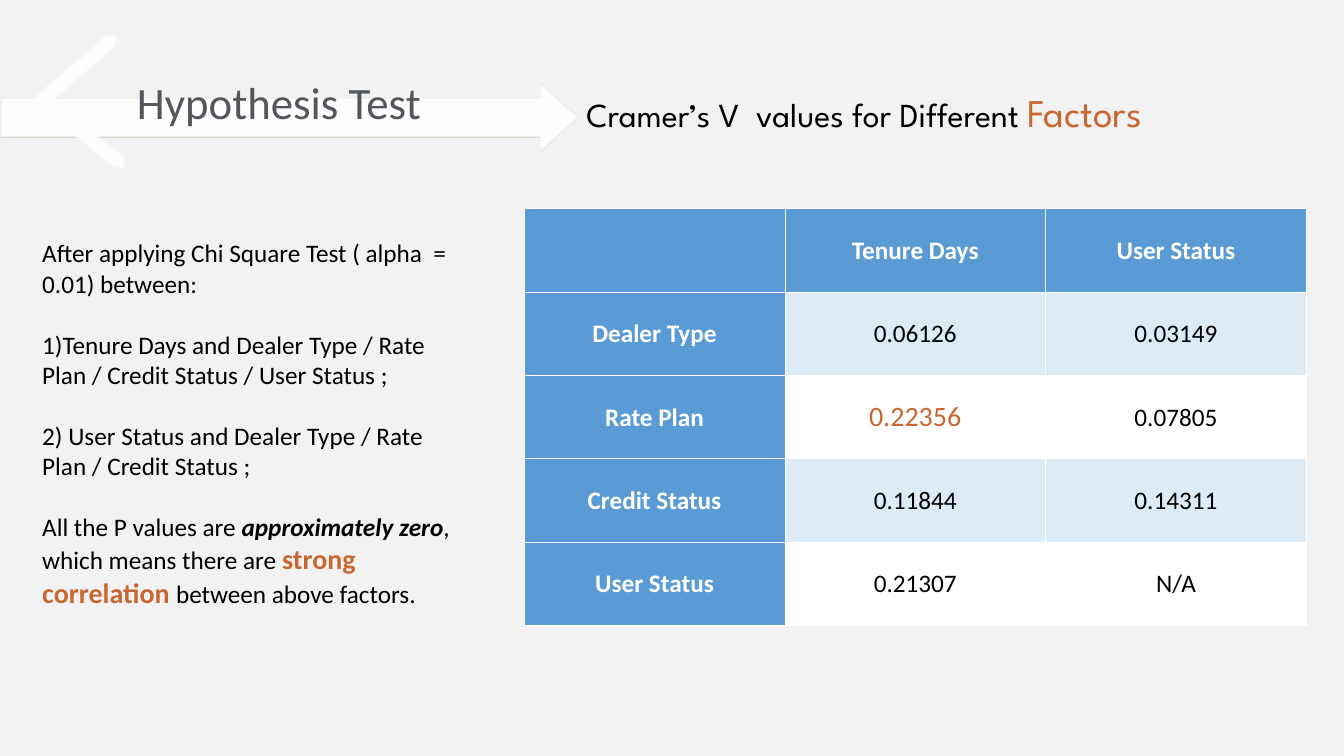
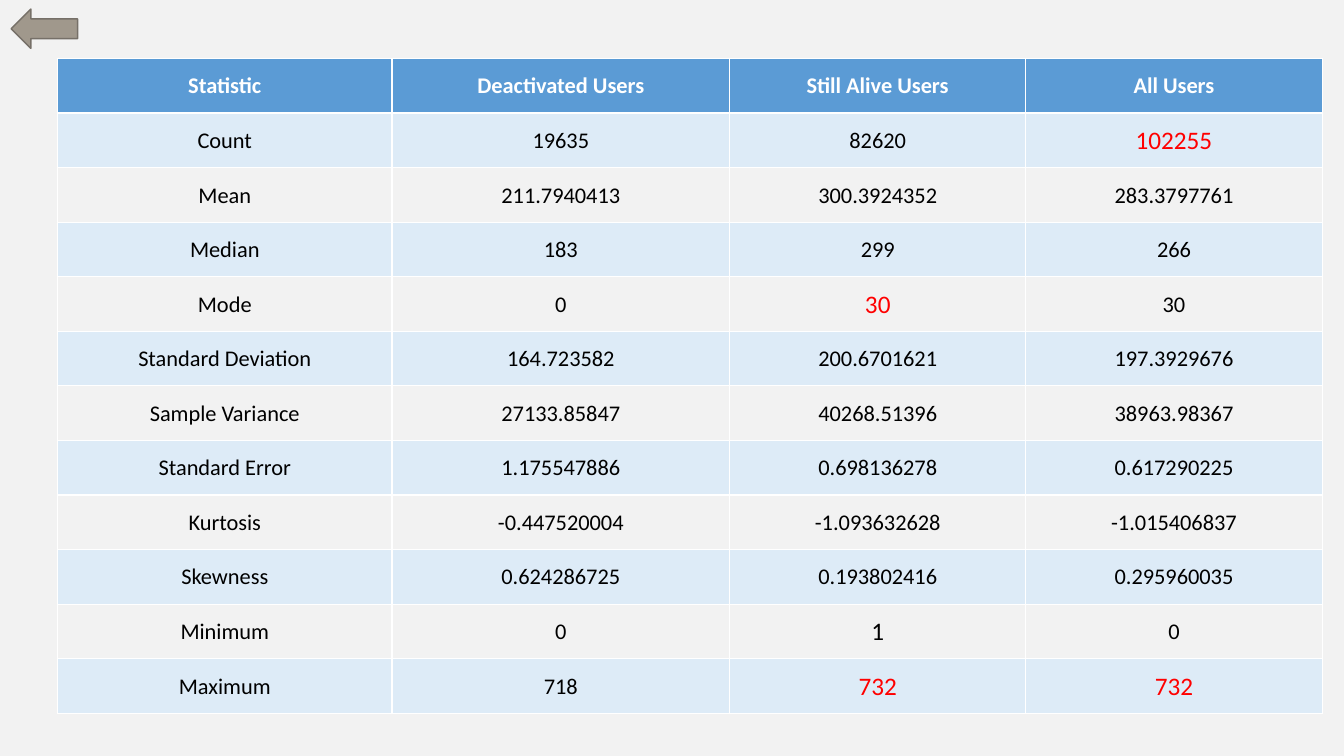
from collections import namedtuple

from lxml.etree import SubElement
from pptx import Presentation
from pptx.dml.color import RGBColor
from pptx.enum.shapes import MSO_SHAPE
from pptx.enum.text import MSO_ANCHOR, PP_ALIGN
from pptx.oxml.ns import qn
from pptx.util import Inches, Pt

# Shared style
PAPER = RGBColor(0xF2, 0xF2, 0xF2)
WHITE = RGBColor(0xFF, 0xFF, 0xFF)
BLACK = RGBColor(0, 0, 0)
HEADER_BLUE = RGBColor(0x5B, 0x9B, 0xD5)
BAND_BLUE = RGBColor(0xDD, 0xEB, 0xF7)
ORANGE = RGBColor(0xC9, 0x67, 0x31)
RED = RGBColor(0xFF, 0, 0)
TITLE_GREY = RGBColor(0x53, 0x57, 0x5C)
ARROW_EDGE = RGBColor(0xF7, 0xEE, 0xE2)
BACK_FILL = RGBColor(0xA0, 0x98, 0x8C)
BACK_EDGE = RGBColor(0x76, 0x70, 0x68)
BODY_FONT = "Calibri"
DISPLAY_FONT = "League Spartan"

WIDTH, HEIGHT = Inches(13.33), Inches(7.5)
Box = namedtuple("Box", "left top width height")
Style = namedtuple("Style", "size color bold italic font",
                   defaults=(BLACK, False, False, BODY_FONT))


def share(left, top, width, height):
    """Box given in percent of the slide's width and height."""
    return Box(int(WIDTH * left / 100), int(HEIGHT * top / 100),
               int(WIDTH * width / 100), int(HEIGHT * height / 100))


def add_run(paragraph, text, style):
    run = paragraph.add_run()
    run.text = text
    run.font.size = Pt(style.size)
    run.font.color.rgb = style.color
    run.font.bold = style.bold
    run.font.italic = style.italic
    run.font.name = style.font


def add_text(slide, box, paragraphs, gap=0):
    frame = slide.shapes.add_textbox(*box).text_frame
    frame.word_wrap = True
    for index, runs in enumerate(paragraphs):
        paragraph = frame.add_paragraph() if index else frame.paragraphs[0]
        paragraph.space_after = Pt(gap)
        for text, style in runs:
            add_run(paragraph, text, style)


def add_arrow(slide, box, fill, edge, angle=0, soft=0, adjustments=()):
    arrow = slide.shapes.add_shape(MSO_SHAPE.RIGHT_ARROW, *box)
    arrow.rotation = angle
    for index, value in enumerate(adjustments):
        arrow.adjustments[index] = value
    arrow.shadow.inherit = False
    arrow.fill.solid()
    arrow.fill.fore_color.rgb = fill
    arrow.line.color.rgb = edge
    arrow.line.width = Pt(1)
    if soft:
        effects = arrow.fill._xPr.find(qn("a:effectLst"))
        SubElement(effects, qn("a:softEdge"), rad=str(Pt(soft)))


def add_banner(slide, box):
    """Long arrow with two strokes that form its tail."""
    add_arrow(slide, box, WHITE, ARROW_EDGE, soft=1, adjustments=(0.56, 0.56))
    thickness = int(box.height * 0.3)
    for center_x, center_y, length, angle in ((0.11, -0.04, 0.25, 318.9),
                                              (0.17, 0.92, 0.13, 38.3)):
        span = int(box.width * length)
        stroke = Box(int(box.left + box.width * center_x - span / 2),
                     int(box.top + box.height * center_y - thickness / 2),
                     span, thickness)
        add_arrow(slide, stroke, WHITE, WHITE, angle, 2, (1, 0.56))


def add_borders(cell, width):
    properties = cell._tc.get_or_add_tcPr()
    for side in ("lnL", "lnR", "lnT", "lnB"):
        line = SubElement(properties, qn(f"a:{side}"), w=str(Pt(width)))
        fill = SubElement(line, qn("a:solidFill"))
        SubElement(fill, qn("a:srgbClr"), val=str(WHITE))


def add_grid(slide, box, rows, weights, size, border, plain_fill=None,
             head_column=False, highlights=None):
    """Table with a blue header and bands; highlights maps (row, column) to a style."""
    highlights = highlights or {}
    table = slide.shapes.add_table(len(rows), len(weights), *box).table
    for column, weight in zip(table.columns, weights):
        column.width = int(box.width * weight / sum(weights))
    for r, values in enumerate(rows):
        table.rows[r].height = box.height // len(rows)
        for c, value in enumerate(values):
            cell = table.cell(r, c)
            is_head = r == 0 or (head_column and c == 0)
            add_borders(cell, border)
            fill = HEADER_BLUE if is_head else BAND_BLUE if r % 2 else plain_fill
            if fill is None:
                cell.fill.background()
            else:
                cell.fill.solid()
                cell.fill.fore_color.rgb = fill
            cell.vertical_anchor = MSO_ANCHOR.MIDDLE
            cell.margin_left = cell.margin_right = cell.margin_top = Inches(0.01)
            cell.margin_bottom = 0
            paragraph = cell.text_frame.paragraphs[0]
            paragraph.alignment = PP_ALIGN.CENTER
            normal = Style(size, WHITE, True) if is_head else Style(size)
            if value:
                add_run(paragraph, value, highlights.get((r, c), normal))


def new_slide(deck):
    slide = deck.slides.add_slide(deck.slide_layouts[6])
    slide.background.fill.solid()
    slide.background.fill.fore_color.rgb = PAPER
    return slide


def build_hypothesis(deck):
    slide = new_slide(deck)
    body = Style(18)

    # Heading
    add_text(slide, share(42.9, 11.07, 56.25, 7.6), [[
        ("Cramer’s V  values for Different ", Style(24, font=DISPLAY_FONT)),
        ("Factors", Style(28, ORANGE, font=DISPLAY_FONT))]])

    # Cramer's V values
    add_grid(slide, share(39, 27.6, 58.2, 55.1), [
        ("", "Tenure Days", "User Status"),
        ("Dealer Type", "0.06126", "0.03149"),
        ("Rate Plan", "0.22356", "0.07805"),
        ("Credit Status", "0.11844", "0.14311"),
        ("User Status", "0.21307", "N/A"),
    ], (1, 1, 1), 18, 0.5, WHITE, True, {(2, 1): Style(20, ORANGE)})

    # Findings
    add_text(slide, share(2.4, 30.8, 34.6, 49.9), [
        [("After applying Chi Square Test ( alpha  = 0.01) between:", body)],
        [("1)Tenure Days and Dealer Type / Rate Plan / Credit Status / User Status ; ",
          body)],
        [("2) User Status and Dealer Type / Rate Plan / Credit Status ;", body)],
        [("All the P values are ", body),
         ("approximately zero", Style(18, bold=True, italic=True)),
         (", which means there are ", body),
         ("strong correlation ", Style(20, ORANGE, True)),
         ("between above factors.", body)],
    ], gap=22)

    # Title banner
    add_banner(slide, share(0.05, 11.05, 42.9, 8.93))
    add_text(slide, share(9.45, 9.2, 26.4, 8.5),
             [[("Hypothesis Test", Style(32, TITLE_GREY))]])


def build_statistics(deck):
    slide = new_slide(deck)
    alert = Style(18, RED)

    # Descriptive statistics
    add_grid(slide, share(4.28, 7.73, 94.1, 86.67), [
        ("Statistic", "Deactivated Users", "Still Alive Users", "All Users"),
        ("Count", "19635", "82620", "102255"),
        ("Mean", "211.7940413", "300.3924352", "283.3797761"),
        ("Median", "183", "299", "266"),
        ("Mode", "0", "30", "30"),
        ("Standard Deviation", "164.723582", "200.6701621", "197.3929676"),
        ("Sample Variance", "27133.85847", "40268.51396", "38963.98367"),
        ("Standard Error", "1.175547886", "0.698136278", "0.617290225"),
        ("Kurtosis", "-0.447520004", "-1.093632628", "-1.015406837"),
        ("Skewness", "0.624286725", "0.193802416", "0.295960035"),
        ("Minimum", "0", "1", "0"),
        ("Maximum", "718", "732", "732"),
    ], (3.32, 3.35, 2.94, 2.94), 16, 1, highlights={
        (1, 3): alert, (4, 2): alert, (10, 2): Style(18),
        (11, 2): alert, (11, 3): alert})

    # Back arrow
    add_arrow(slide, share(0.83, 1.2, 4.95, 5.2), BACK_FILL, BACK_EDGE, 180)


deck = Presentation()
deck.slide_width, deck.slide_height = WIDTH, HEIGHT
build_hypothesis(deck)
build_statistics(deck)
deck.save("out.pptx")
